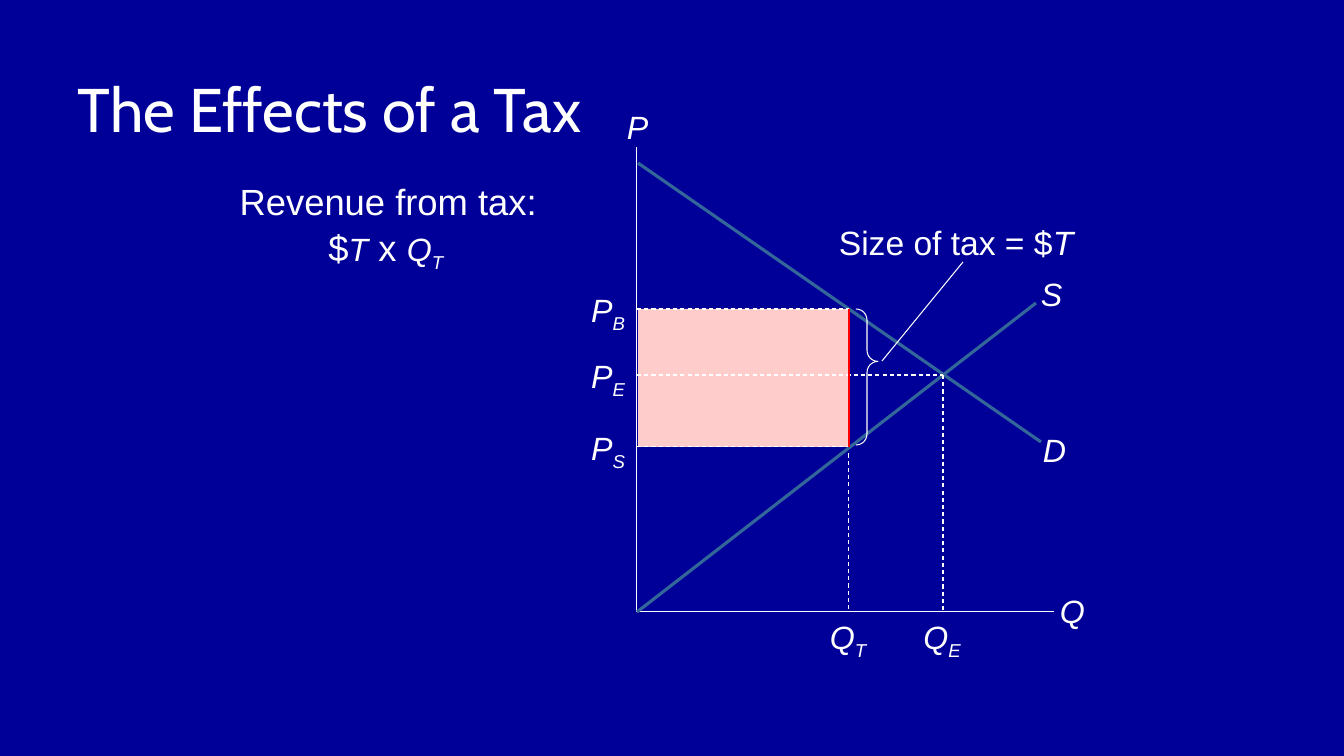
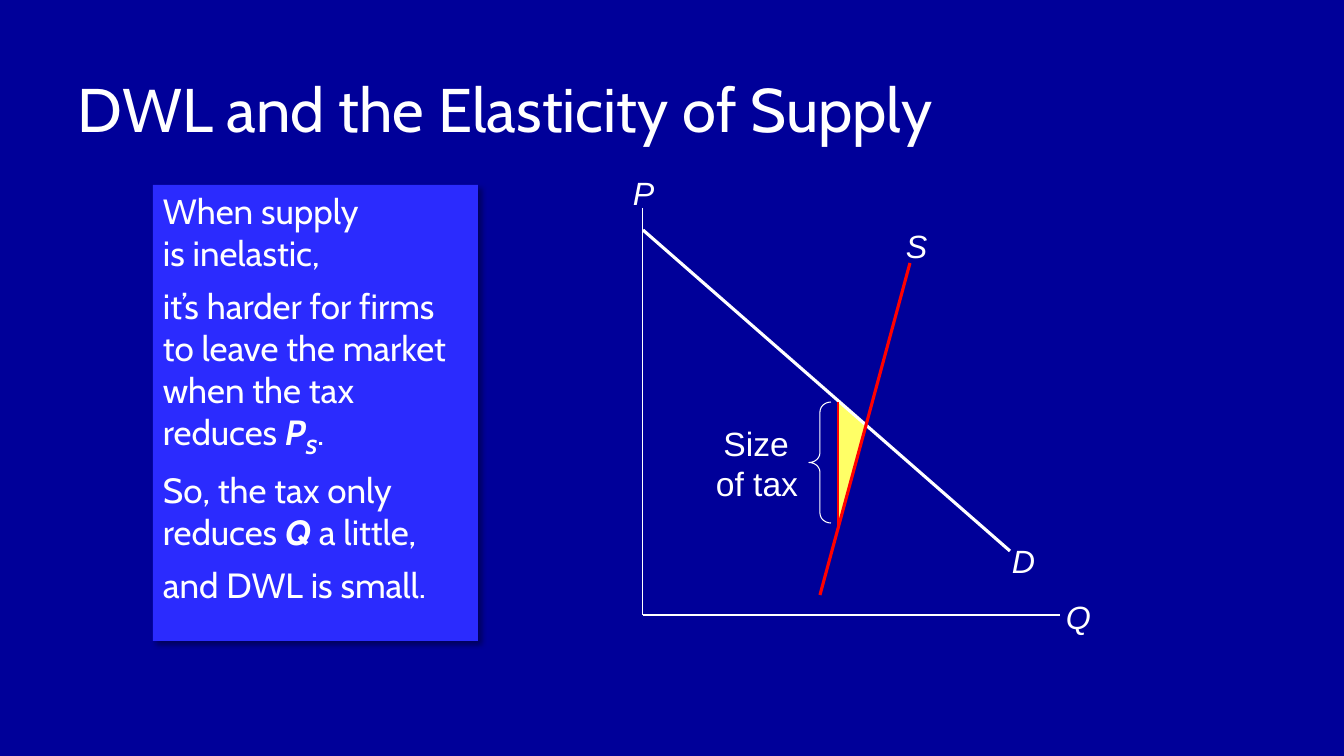
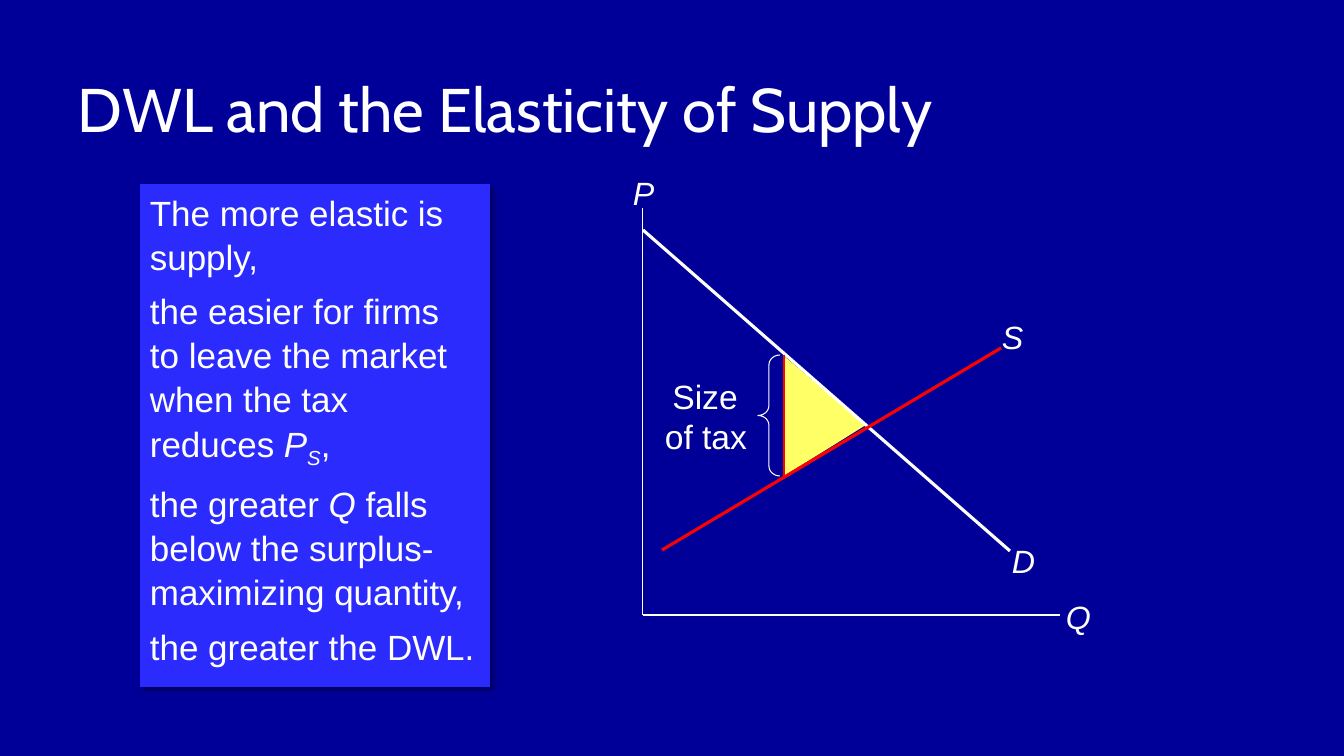
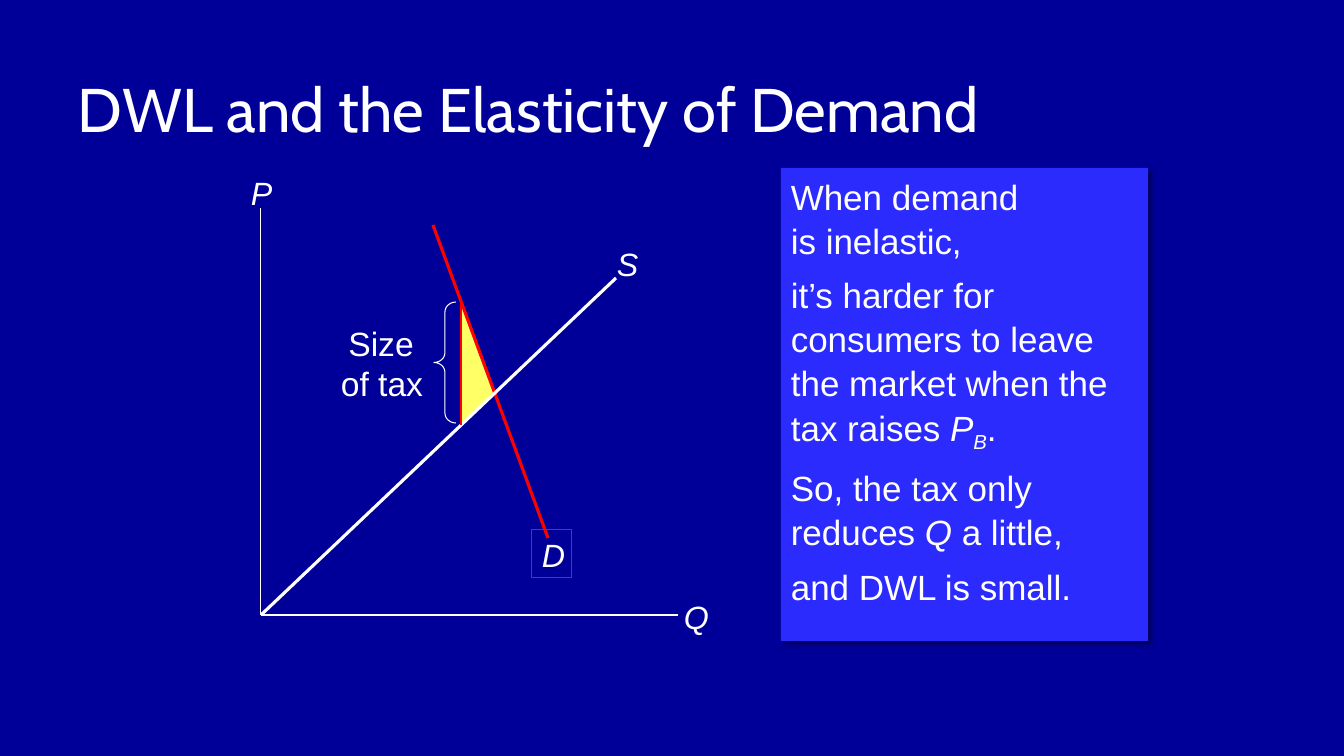
from dataclasses import dataclass

from lxml import etree
from pptx import Presentation
from pptx.dml.color import RGBColor
from pptx.enum.dml import MSO_LINE
from pptx.enum.shapes import MSO_CONNECTOR, MSO_SHAPE
from pptx.enum.text import MSO_ANCHOR, PP_ALIGN
from pptx.oxml.ns import qn
from pptx.util import Emu, Pt

RECT, BRACE, WEDGE = MSO_SHAPE.RECTANGLE, MSO_SHAPE.LEFT_BRACE, MSO_SHAPE.RIGHT_TRIANGLE
LINE, DASH = MSO_CONNECTOR.STRAIGHT, MSO_LINE.DASH
TOP, MIDDLE = MSO_ANCHOR.TOP, MSO_ANCHOR.MIDDLE
LEFT, MID, RIGHT = PP_ALIGN.LEFT, PP_ALIGN.CENTER, PP_ALIGN.RIGHT
SCALE = 914400 / 100.8


@dataclass(frozen=True)
class Theme:
    back: str = "000099"
    white: str = "FFFFFF"
    panel: str = "2B2BFE"
    red: str = "FF0000"
    steel: str = "336699"
    pink: str = "FFCCCC"
    gold: str = "FFFF66"
    head: str = "Cabin"
    body: str = "Arial"
    title: int = 44
    lead: int = 26
    prose: int = 25
    note: int = 24
    label: int = 23
    thin: float = 0.75
    mark: float = 1.5
    thick: float = 2.25


THEME = Theme()
SMALL = {"size": Pt(THEME.label)}


def px(n):
    return Emu(round(n * SCALE))


def rgb(code):
    return RGBColor.from_string(code)


def it(text, **more):
    return text, {"italic": True, **more}


def sub(text, **more):
    return it(text, sub=True, **more)


class Deck:
    def __init__(self, theme):
        self.theme = theme
        self.show = Presentation()
        self.show.slide_width, self.show.slide_height = px(1344), px(756)
        fill = self.show.slide_master.background.fill
        fill.solid()
        fill.fore_color.rgb = rgb(theme.back)
        self.slide = None

    def page(self, title):
        self.slide = self.show.slides.add_slide(self.show.slide_layouts[6])
        self.text((68, 32, 1210, 152), [[title]], self.theme.title,
                  face=self.theme.head, anchor=MIDDLE)

    def prose(self, shape, paras, size, face=None, align=LEFT, anchor=TOP,
              wrap=True, lead=1.0, gap=0):
        frame = shape.text_frame
        frame.word_wrap, frame.vertical_anchor = wrap, anchor
        for i, parts in enumerate(paras):
            para = frame.add_paragraph() if i else frame.paragraphs[0]
            para.alignment, para.line_spacing = align, lead
            para.space_before = Pt(gap if i else 0)
            for part in parts:
                self.piece(para, part, size, face or self.theme.body)

    def piece(self, para, part, size, face):
        text, extra = (part, {}) if isinstance(part, str) else part
        style = {"name": face, "size": Pt(size), **extra}
        low = style.pop("sub", False)
        for i, line in enumerate(text.split("\n")):
            if i:
                para.add_line_break()
            run = para.add_run()
            run.text = line
            run.font.color.rgb = rgb(self.theme.white)
            for key, value in style.items():
                setattr(run.font, key, value)
            if low:
                run.font._element.set("baseline", "-25000")

    def text(self, box, paras, size, **style):
        shape = self.slide.shapes.add_textbox(*map(px, box))
        self.prose(shape, paras, size, **style)
        return shape

    def label(self, x, y, name, low="", wide=40):
        parts = [it(name)] + ([sub(low)] if low else [])
        return self.text((x, y, wide, 48), [parts], self.theme.label,
                         align=MID, wrap=False)

    def shape(self, kind, box, fill=None, line=None):
        shape = self.slide.shapes.add_shape(kind, *map(px, box))
        shape.shadow.inherit = False
        if fill:
            shape.fill.solid()
            shape.fill.fore_color.rgb = rgb(fill)
        else:
            shape.fill.background()
        if line:
            shape.line.color.rgb = rgb(line)
            shape.line.width = Pt(self.theme.thin)
        else:
            shape.line.fill.background()
        return shape

    def line(self, start, end, color=None, width=None, dash=None):
        line = self.slide.shapes.add_connector(LINE, *map(px, (*start, *end)))
        line.line.color.rgb = rgb(color or self.theme.white)
        line.line.width = Pt(width or self.theme.thin)
        if dash:
            line.line.dash_style = dash
        etree.SubElement(line._element.spPr, qn("a:effectLst"))

    def curve(self, start, end, color, name, spot):
        self.line(start, end, color, self.theme.thick)
        return self.label(*spot, name)

    def axes(self, x, top, base, price, count):
        self.line((x, top), (x, base))
        self.line((x, base), (x + 417, base))
        self.label(x - 20, price, "P")
        self.label(x + 413, count, "Q")

    def brace(self, x, y, high, bend, turn=0):
        shape = self.shape(BRACE, (x, y, 22, high), line=self.theme.white)
        shape.rotation = turn
        for i, value in enumerate(bend):
            shape.adjustments[i] = value

    def loss(self, x, top, mid, base, wide):
        self.shape(WEDGE, (x, top, wide, mid - top), self.theme.gold)
        low = self.shape(WEDGE, (x, mid, wide, base - mid), self.theme.gold)
        low._element.spPr.xfrm.set("flipV", "1")

    def tax(self, x, y, brace):
        self.line((x, y), (x, y + 123), self.theme.red, self.theme.mark)
        self.brace(brace, y, 121, (0.448, 0.5))
        self.text((brace - 126, y + 16, 125, 92), [["Size \nof tax"]],
                  self.theme.note, align=RIGHT)

    def panel(self, box, paras, **style):
        shape = self.shape(RECT, box, self.theme.panel)
        glow = shape._element.spPr.find(qn("a:effectLst"))
        cast = etree.SubElement(glow, qn("a:outerShdw"), blurRad="50800", dist="38100",
                                dir="2700000", algn="tl", rotWithShape="0")
        tone = etree.SubElement(cast, qn("a:srgbClr"), val="000000")
        etree.SubElement(tone, qn("a:alpha"), val="40000")
        self.prose(shape, paras, self.theme.prose, gap=7.5, **style)


def effects(deck):
    t = deck.theme
    left, cut, even, base = 637, 849, 943, 612
    high, mid, low = 309, 375, 447
    deck.page("The Effects of a Tax")
    deck.line((cut, high), (cut, base), dash=DASH)
    deck.shape(RECT, (left + 1, high, cut - left - 1, low - high), t.pink)
    deck.axes(left, 147, base, 102, 586)
    deck.curve((left + 1, 163), (1041, 442), t.steel, "D", (1033, 425))
    deck.curve((left, base), (1036, 303), t.steel, "S", (1031, 269))
    deck.text((222, 172, 333, 120),
              [["Revenue from tax: $", it("T", **SMALL), " x ",
                it("Q", **SMALL), sub("T ", **SMALL)]],
              t.lead, align=MID, lead=1.05)
    for y, end, name in ((low, cut, "S"), (high, cut, "B"), (mid, even, "E")):
        deck.label(579, y - 24, "P", name, 58)
        deck.line((left, y), (end, y), dash=DASH)
    deck.line((even, mid), (even, base), dash=DASH)
    for x, name in ((even, "E"), (cut, "T")):
        deck.label(x - 33, base, "Q", name, 64)
    deck.brace(856, high, 136, (0.504, 0.615), 180)
    deck.text((829, 217, 258, 50), [["Size of tax = $", it("T")]], t.note, wrap=False)
    deck.line((882, 361), (963, 262))
    deck.line((cut, high), (cut, low), t.red, t.mark)


def welfare(deck, title, x, loss, supply, demand, tax, panel, paras, **style):
    deck.page(title)
    deck.loss(*loss)
    deck.panel(panel, paras, **style)
    deck.axes(x, 208, 615, 168, 592)
    mark = deck.curve(*demand)
    deck.curve(*supply)
    deck.tax(*tax)
    return mark


def main():
    t = THEME
    deck = Deck(t)
    effects(deck)

    supply = "DWL and the Elasticity of Supply"
    fall = ((643, 230), (1010, 551), t.white, "D", (1002, 536))
    bold = {"bold": True}
    welfare(deck, supply, 643, (839, 402, 425, 521, 27),
            ((820, 595), (910, 263), t.red, "S", (896, 221)), fall,
            (838, 402, 809), (153, 185, 325, 456),
            [["When supply \nis inelastic,"],
             ["it’s harder for firms to leave the market when the tax reduces ",
              it("P", **bold), sub("S", **bold), "."],
             ["So, the tax only reduces ", it("Q", **bold), " a little,"],
             ["and DWL is small."]], face=t.head)

    welfare(deck, supply, 643, (784, 356, 425, 476, 82),
            ((662, 550), (1001, 348), t.red, "S", (992, 312)), fall,
            (784, 355, 758), (140, 184, 350, 503),
            [["The more elastic is supply,"],
             ["the easier for firms \nto leave the market when the tax reduces ",
              it("P"), sub("S"), ","],
             ["the greater ", it("Q"), " falls below the surplus-maximizing quantity,"],
             ["the greater the DWL."]], lead=1.05)

    mark = welfare(deck, "DWL and the Elasticity of Demand", 261,
                   (461, 300, 392, 424, 34),
                   ((261, 615), (616, 278), t.white, "S", (607, 239)),
                   ((433, 225), (548, 538), t.red, "D", (532, 530)),
                   (461, 302, 434), (781, 168, 367, 473),
                   [["When demand \nis inelastic,"],
                    ["it’s harder for consumers to leave the market when the tax raises ",
                     it("P"), sub("B"), "."],
                    ["So, the tax only reduces ", it("Q"), " a little,"],
                    ["and DWL is small."]], lead=1.05)
    mark.line.color.rgb = rgb(t.red)
    mark.line.width = Pt(t.thin)

    deck.show.save("out.pptx")


if __name__ == "__main__":
    main()
